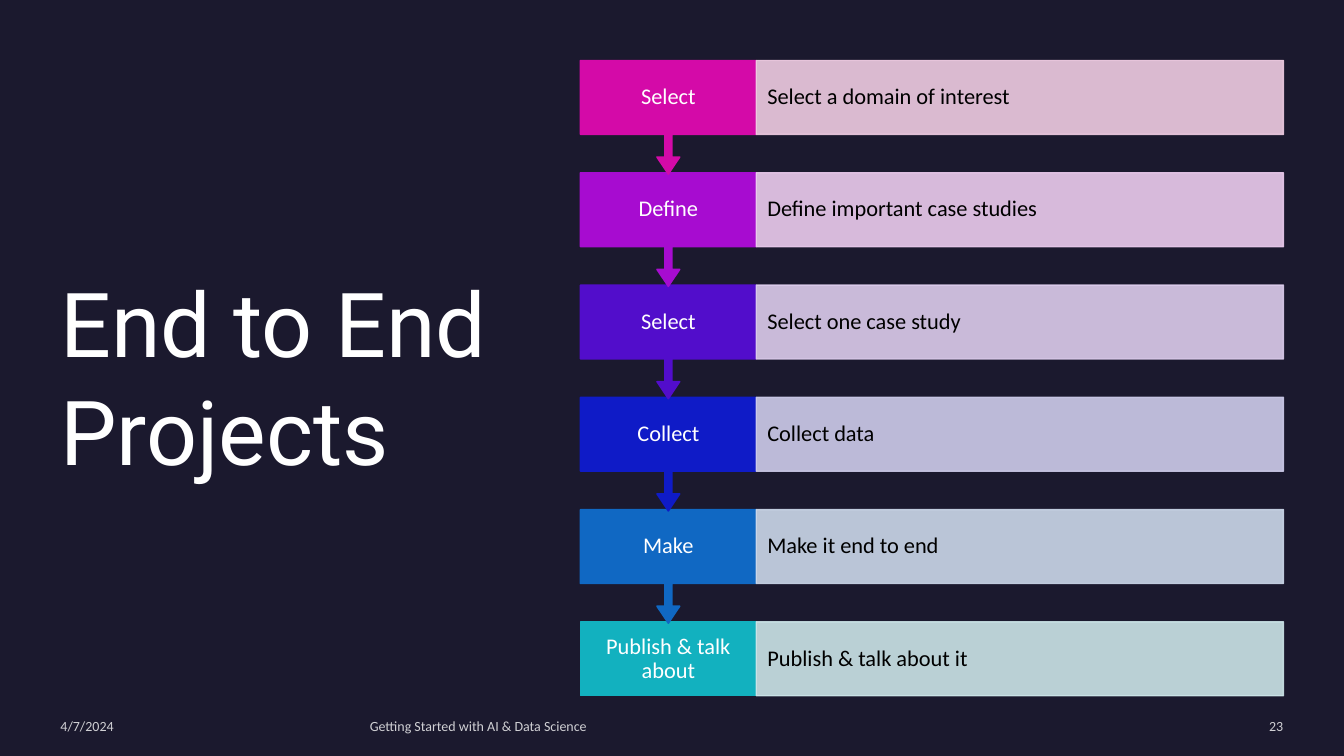
"""Build the End to End Projects slide with its six-step flow."""
from dataclasses import dataclass

import lxml.etree
import pptx
import pptx.dml.color
import pptx.enum.shapes
import pptx.enum.text
import pptx.oxml.ns
import pptx.util

Pt = pptx.util.Pt
ALIGN = pptx.enum.text.PP_ALIGN
RECTANGLE = pptx.enum.shapes.MSO_SHAPE.RECTANGLE

COLORS = {
    "background": "1B192E", "white": "FFFFFF", "black": "000000",
    "pink": "D40AA8", "pale_pink": "EFCCE2",
    "purple": "A70CD0", "pale_purple": "ECCCEE",
    "violet": "520DCB", "pale_violet": "DCCCEC",
    "blue": "0F1BC7", "pale_blue": "CECCEB",
    "azure": "1068C3", "pale_azure": "CCD8EA",
    "teal": "12B1BF", "pale_teal": "CCE4E8",
}

SLIDE_WIDTH, SLIDE_HEIGHT = 960, 540
LABEL_LEFT, LABEL_WIDTH = 414.6, 125.6
DETAIL_LEFT, DETAIL_WIDTH = 540.2, 376.6
ROW_TOP, ROW_PITCH, ROW_HEIGHT = 43.2, 80.2, 52.8
STEM_HALF, HEAD_HALF, HEAD_TOP, TIP = 2.5, 8.2, 69, 81.2


@dataclass
class Step:
    label: str
    detail: str
    color: str


@dataclass
class FooterItem:
    text: str
    left: float
    width: float
    align: ALIGN


STEPS = [
    Step("Select", "Select a domain of interest", "pink"),
    Step("Define", "Define important case studies", "purple"),
    Step("Select", "Select one case study", "violet"),
    Step("Collect", "Collect data", "blue"),
    Step("Make", "Make it end to end", "azure"),
    Step("Publish & talk about", "Publish & talk about it", "teal"),
]

FOOTER = [
    FooterItem("4/7/2024", 43.2, 207.4, ALIGN.LEFT),
    FooterItem("Getting Started with AI & Data Science", 264.2, 502.6, ALIGN.LEFT),
    FooterItem("23", 783.4, 133.2, ALIGN.RIGHT),
]


def rgb(name: str) -> pptx.dml.color.RGBColor:
    """Return the named colour."""
    return pptx.dml.color.RGBColor.from_string(COLORS[name])


def set_opacity(element, percent: int) -> None:
    """Make every colour inside the element partly transparent."""
    if percent < 100:
        for color in element.iter(pptx.oxml.ns.qn("a:srgbClr")):
            alpha = lxml.etree.SubElement(color, pptx.oxml.ns.qn("a:alpha"))
            alpha.set("val", str(percent * 1000))


def paint(shape, color: str, opacity: int = 100) -> None:
    """Give the shape one colour for fill and outline."""
    shape.shadow.inherit = False
    shape.fill.solid()
    shape.fill.fore_color.rgb = rgb(color)
    shape.line.color.rgb = rgb(color)
    shape.line.width = Pt(1)
    set_opacity(shape._element.spPr, opacity)


def write_text(shape, text: str, *, size: float, font: str = "Calibri", color: str = "white",
               opacity: int = 100, align: ALIGN = ALIGN.LEFT, space_after: float = 0,
               line_spacing: float = 1.0, insets: tuple = (0, 0, 0, 0)) -> None:
    """Write one formatted, vertically centred paragraph into the shape."""
    frame = shape.text_frame
    frame.word_wrap = True
    frame.vertical_anchor = pptx.enum.text.MSO_ANCHOR.MIDDLE
    frame.margin_left, frame.margin_top, frame.margin_right, frame.margin_bottom = map(Pt, insets)
    paragraph = frame.paragraphs[0]
    paragraph.alignment = align
    paragraph.space_after = Pt(space_after)
    paragraph.line_spacing = line_spacing
    run = paragraph.add_run()
    run.text = text
    run.font.size = Pt(size)
    run.font.name = font
    run.font.color.rgb = rgb(color)
    set_opacity(run._r, opacity)


def add_rectangle(slide, left: float, top: float, width: float, height: float):
    """Add a plain rectangle."""
    return slide.shapes.add_shape(RECTANGLE, Pt(left), Pt(top), Pt(width), Pt(height))


def add_text_box(slide, left: float, top: float, width: float, height: float):
    """Add an empty text box."""
    return slide.shapes.add_textbox(Pt(left), Pt(top), Pt(width), Pt(height))


def add_arrow_label(slide, top: float):
    """Add a label box with an arrow pointing down to the next step."""
    right = LABEL_LEFT + LABEL_WIDTH
    middle = LABEL_LEFT + LABEL_WIDTH / 2
    bottom, head, tip = top + ROW_HEIGHT, top + HEAD_TOP, top + TIP
    outline = [
        (right, bottom), (middle + STEM_HALF, bottom), (middle + STEM_HALF, head),
        (middle + HEAD_HALF, head), (middle, tip), (middle - HEAD_HALF, head),
        (middle - STEM_HALF, head), (middle - STEM_HALF, bottom),
        (LABEL_LEFT, bottom), (LABEL_LEFT, top), (right, top),
    ]
    points = [(Pt(x), Pt(y)) for x, y in outline]
    builder = slide.shapes.build_freeform(*points[0])
    builder.add_line_segments(points[1:], close=True)
    return builder.convert_to_shape()


def add_step(slide, index: int, step: Step) -> None:
    """Draw one step: its label and its detail bar."""
    top = ROW_TOP + index * ROW_PITCH
    if index < len(STEPS) - 1:
        label = add_arrow_label(slide, top)
        bottom_inset = 8.6 + TIP - ROW_HEIGHT
    else:
        label = add_rectangle(slide, LABEL_LEFT, top, LABEL_WIDTH, ROW_HEIGHT)
        bottom_inset = 8.6
    paint(label, step.color)
    write_text(label, step.label, size=16, align=ALIGN.CENTER, space_after=5.6,
               line_spacing=0.9, insets=(8.6, 8.6, 8.6, bottom_inset))
    detail = add_rectangle(slide, DETAIL_LEFT, top, DETAIL_WIDTH, ROW_HEIGHT)
    paint(detail, f"pale_{step.color}", opacity=90)
    write_text(detail, step.detail, size=16, color="black", space_after=5.6,
               line_spacing=0.9, insets=(7.9, 15.8, 7.9, 15.8))


def main() -> None:
    """Build and save the presentation."""
    presentation = pptx.Presentation()
    presentation.slide_width = Pt(SLIDE_WIDTH)
    presentation.slide_height = Pt(SLIDE_HEIGHT)
    slide = presentation.slides.add_slide(presentation.slide_layouts[6])
    slide.background.fill.solid()
    slide.background.fill.fore_color.rgb = rgb("background")
    backdrop = add_rectangle(slide, 0, 0, SLIDE_WIDTH, SLIDE_HEIGHT)
    paint(backdrop, "background")
    backdrop.line.fill.background()

    title = add_text_box(slide, 43.2, 119.5, 357.1, 297.4)
    write_text(title, "End to End Projects", size=64, font="Roboto")
    for item in FOOTER:
        box = add_text_box(slide, item.left, 512.6, item.width, 12.2)
        write_text(box, item.text, size=10, opacity=80, align=item.align, space_after=6)
    for index, step in reversed(list(enumerate(STEPS))):
        add_step(slide, index, step)
    presentation.save("out.pptx")


if __name__ == "__main__":
    main()
